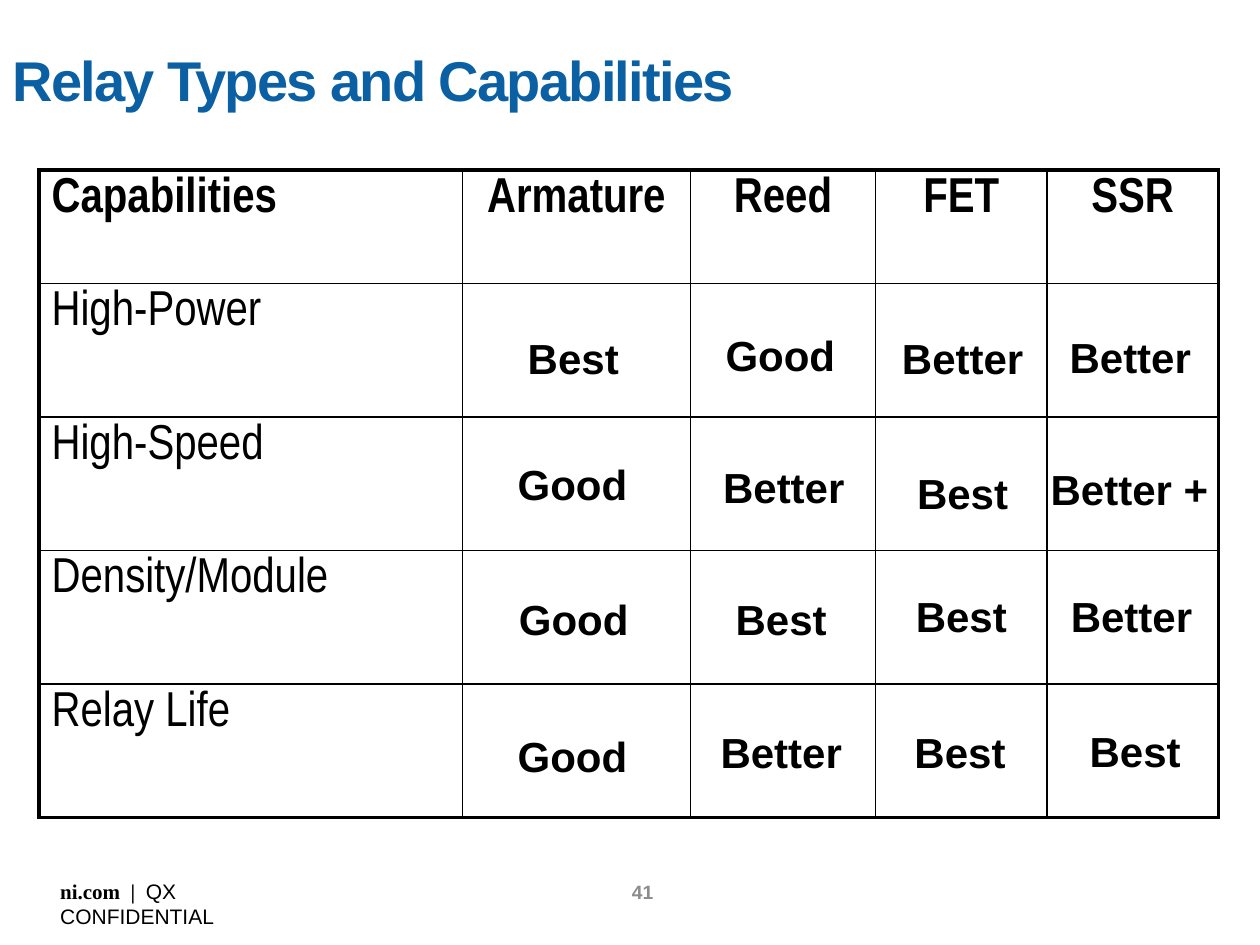
from typing import NamedTuple

from lxml import etree
from pptx import Presentation
from pptx.dml.color import RGBColor
from pptx.enum.text import MSO_ANCHOR, MSO_AUTO_SIZE, PP_ALIGN
from pptx.oxml.ns import qn
from pptx.util import Inches, Pt

LEFT, CENTER = PP_ALIGN.LEFT, PP_ALIGN.CENTER
TOP, MIDDLE = MSO_ANCHOR.TOP, MSO_ANCHOR.MIDDLE
GROW = MSO_AUTO_SIZE.SHAPE_TO_FIT_TEXT
FIXED = MSO_AUTO_SIZE.NONE

HUES = {"ink": "000000", "title": "0A60A3", "page": "8C8C8C"}


class Run(NamedTuple):
    text: str
    size: float
    font: str = "Arial"
    hue: str = "ink"
    bold: bool = True


class Box(NamedTuple):
    left: float
    top: float
    width: float
    height: float


class Mark(NamedTuple):
    text: str
    left: float
    top: float


HEADS = ["Capabilities", "Armature", "Reed", "FET", "SSR"]
TRAITS = ["High-Power", "High-Speed", "Density/Module", "Relay Life"]
COLS = [3.36, 1.81, 1.47, 1.36, 1.36]
ROWS = [0.9] + [1.06] * len(TRAITS)
WIDTHS = {"Good": 1.08, "Best": 0.93, "Better": 1.18, "Better +": 1.6}
MARKS = [
    Mark("Best", 4.09, 2.59), Mark("Good", 5.66, 2.57),
    Mark("Better", 7.06, 2.59), Mark("Better", 8.39, 2.58),
    Mark("Good", 4.01, 3.59), Mark("Better", 5.64, 3.61),
    Mark("Best", 7.18, 3.66), Mark("Better +", 8.24, 3.63),
    Mark("Good", 4.02, 4.66), Mark("Best", 5.74, 4.66),
    Mark("Best", 7.17, 4.64), Mark("Better", 8.4, 4.64),
    Mark("Good", 4.01, 5.75), Mark("Better", 5.62, 5.72),
    Mark("Best", 7.16, 5.72), Mark("Best", 8.55, 5.71),
]


def add_run(para, item: Run):
    run = para.add_run()
    run.text = item.text
    font = run.font
    font.name, font.size, font.bold = item.font, Pt(item.size), item.bold
    font.color.rgb = RGBColor.from_string(HUES[item.hue])
    return run


def add_text(slide, box: Box, runs: list[Run], align=LEFT, anchor=TOP,
             wrap: bool = True, fit=FIXED) -> list:
    frame = slide.shapes.add_textbox(*map(Inches, box)).text_frame
    frame.word_wrap = wrap
    frame.auto_size = fit
    frame.vertical_anchor = anchor
    para = frame.paragraphs[0]
    para.alignment = align
    return [add_run(para, item) for item in runs]


def add_edge(cell, side: str, width: float) -> None:
    props = cell._tc.get_or_add_tcPr()
    line = etree.SubElement(props, qn(f"a:ln{side}"), w=str(Pt(width)))
    fill = etree.SubElement(line, qn("a:solidFill"))
    etree.SubElement(fill, qn("a:srgbClr"), val=HUES["ink"])


def add_grid(slide) -> None:
    box = Box(0.31, 1.35, sum(COLS), sum(ROWS))
    table = slide.shapes.add_table(
        len(ROWS), len(COLS), *map(Inches, box)).table
    table.first_row = table.horz_banding = False
    for col, width in zip(table.columns, COLS):
        col.width = Inches(width)
    for row, height in zip(table.rows, ROWS):
        row.height = Inches(height)
    texts = [HEADS] + [[trait] + [""] * 4 for trait in TRAITS]
    for r, line in enumerate(texts):
        for c, text in enumerate(line):
            cell = table.cell(r, c)
            outer = {"L": c == 0, "R": c == len(COLS) - 1,
                     "T": r == 0, "B": r == len(ROWS) - 1}
            for side, thick in outer.items():
                add_edge(cell, side, 2.25 if thick else 1)
            cell.fill.background()
            if text:
                para = cell.text_frame.paragraphs[0]
                para.alignment = CENTER if c else LEFT
                add_run(para, Run(text, 28, "Arial Narrow", bold=r == 0))


def main() -> None:
    deck = Presentation()
    deck.slide_width, deck.slide_height = Inches(10), Inches(7.5)
    slide = deck.slides.add_slide(deck.slide_layouts[6])
    add_text(slide, Box(4.81, 6.94, 0.58, 0.28),
             [Run("41", 11, hue="page")], CENTER, MIDDLE)
    add_text(slide, Box(0.38, 6.92, 2.37, 0.3),
             [Run("ni.com  |  ", 12, "Times New Roman"),
              Run("QX CONFIDENTIAL", 12, bold=False)],
             wrap=False, fit=GROW)
    title = add_text(slide, Box(0, 0, 8.5, 1.25),
                     [Run("Relay Types and Capabilities", 32, hue="title")],
                     anchor=MIDDLE)
    title[0].font._element.set("spc", "-100")
    add_grid(slide)
    for mark in MARKS:
        box = Box(mark.left, mark.top, WIDTHS[mark.text], 0.5)
        add_text(slide, box, [Run(mark.text, 24)],
                 wrap=mark.text == "Better +", fit=GROW)
    deck.save("out.pptx")


if __name__ == "__main__":
    main()
